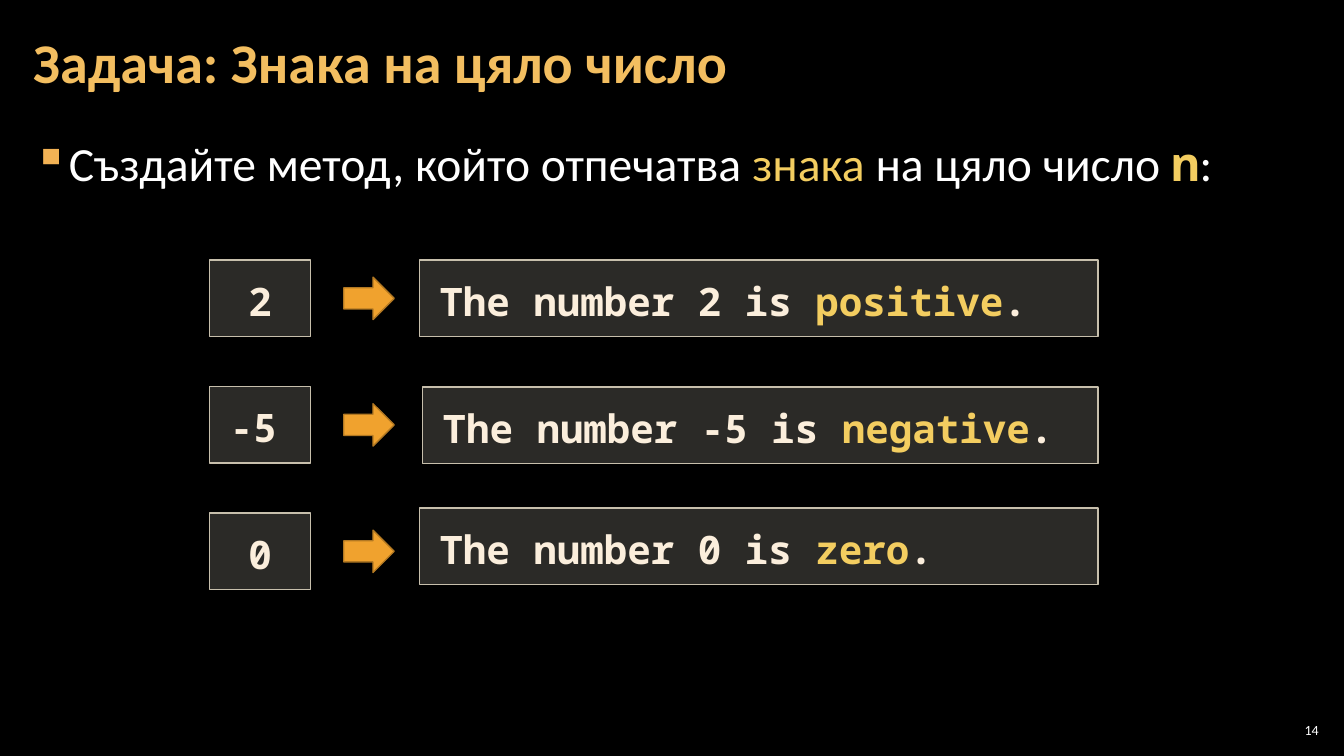
"""Build a slide that shows the sign of an integer with three examples."""
from dataclasses import dataclass

from pptx import Presentation, util as u
from pptx.dml.color import RGBColor
from pptx.enum import shapes, text
from pptx.oxml import parse_xml
from pptx.oxml.ns import nsdecls, qn


@dataclass(frozen=True)
class Theme:
    """Hold the colours, fonts and type sizes of the slide."""
    background: str = "000000"
    white: str = "FFFFFF"
    title: str = "F3BE60"
    bullet: str = "F2B254"
    accent: str = "F3CD60"
    code: str = "FBEEDC"
    box: str = "D9D5C7"
    box_line: str = "C7BFAC"
    arrow: str = "F0A22E"
    arrow_line: str = "B27822"
    body_font: str = "Calibri"
    code_font: str = "Noto Sans Mono"
    title_size: int = 40
    body_size: int = 34
    code_size: int = 28
    number_size: int = 10


THEME = Theme()
ROW_TOP, ROW_STEP = 2.58, 1.255
BOX_HEIGHT, ARROW_HEIGHT = 0.76, 0.42
RESULT_RIGHT = 10.89
LEFT, CENTER, RIGHT = text.PP_ALIGN.LEFT, text.PP_ALIGN.CENTER, text.PP_ALIGN.RIGHT


def rgb(value):
    """Return a colour object for a hex value."""
    return RGBColor.from_string(value)


def set_attributes(target, values):
    """Set each named attribute of a target."""
    for name, value in values.items():
        setattr(target, name, value)


def set_text(shape, runs, size, margins, alignment=LEFT, spacing=1.0,
             anchor=text.MSO_ANCHOR.TOP):
    """Write runs of (text, colour, font, bold) and return the paragraph."""
    horizontal, vertical = map(u.Inches, margins)
    set_attributes(shape.text_frame, {
        "word_wrap": True, "vertical_anchor": anchor,
        "margin_left": horizontal, "margin_right": horizontal,
        "margin_top": vertical, "margin_bottom": vertical})
    paragraph = shape.text_frame.paragraphs[0]
    set_attributes(paragraph, {"alignment": alignment, "line_spacing": spacing})
    for words, colour, font, bold in runs:
        run = paragraph.add_run()
        run.text = words
        set_attributes(run.font, {"name": font, "size": u.Pt(size), "bold": bold})
        run.font.color.rgb = rgb(colour)
    return paragraph


def add_text(slide, position, runs, size, margins=(0.12, 0.04), **layout):
    """Add a text box and return its paragraph."""
    shape = slide.shapes.add_textbox(*map(u.Inches, position))
    return set_text(shape, runs, size, margins, **layout)


def add_bullet(paragraph):
    """Give a paragraph a coloured square bullet and a hanging indent."""
    properties = paragraph._p.get_or_add_pPr()
    indent = u.Inches(0.33)
    properties.set("marL", str(indent))
    properties.set("indent", str(-indent))
    for element in (f'<a:buClr {nsdecls("a")}><a:srgbClr val="{THEME.bullet}"/></a:buClr>',
                    f'<a:buChar {nsdecls("a")} char="▪"/>'):
        properties.append(parse_xml(element))


def add_shape(slide, kind, position, fill, line):
    """Add a flat shape with a fill and a thin outline."""
    shape = slide.shapes.add_shape(kind, *map(u.Inches, position))
    shape.shadow.inherit = False
    shape.fill.solid()
    shape.fill.fore_color.rgb = rgb(fill)
    shape.line.color.rgb = rgb(line)
    shape.line.width = u.Pt(1)
    return shape


def add_code_box(slide, position, parts, alignment=LEFT):
    """Add a translucent box with bold code made of (text, colour) parts."""
    shape = add_shape(slide, shapes.MSO_SHAPE.RECTANGLE, position,
                      THEME.box, THEME.box_line)
    colour = shape._element.spPr.find(qn("a:solidFill"))[0]
    colour.append(parse_xml(f'<a:alpha {nsdecls("a")} val="20000"/>'))
    runs = [(words, tint, THEME.code_font, True) for words, tint in parts]
    set_text(shape, runs, THEME.code_size, (0.2, 0.12), alignment, 1.1)
    shape.text_frame.auto_size = text.MSO_AUTO_SIZE.SHAPE_TO_FIT_TEXT


def add_example(slide, row, number, sign, alignment, result_left, result_top):
    """Add a row with an input number, an arrow and the printed result."""
    top = ROW_TOP + row * ROW_STEP
    add_code_box(slide, (2.08, top, 1, BOX_HEIGHT), [(number, THEME.code)], alignment)
    arrow_top = top + (BOX_HEIGHT - ARROW_HEIGHT) / 2
    add_shape(slide, shapes.MSO_SHAPE.RIGHT_ARROW, (3.41, arrow_top, 0.5, ARROW_HEIGHT),
              THEME.arrow, THEME.arrow_line)
    add_code_box(
        slide, (result_left, result_top, RESULT_RIGHT - result_left, BOX_HEIGHT),
        [(f"The number {number} is ", THEME.code), (sign, THEME.accent), (".", THEME.code)])


def main():
    """Build and save the slide."""
    presentation = Presentation()
    set_attributes(presentation, {"slide_width": u.Inches(13.33),
                                  "slide_height": u.Inches(7.5)})
    slide = presentation.slides.add_slide(presentation.slide_layouts[6])
    slide.background.fill.solid()
    slide.background.fill.fore_color.rgb = rgb(THEME.background)

    middle = text.MSO_ANCHOR.MIDDLE
    add_text(slide, (0.21, 0.04, 10.47, 1.21),
             [("Задача: Знака на цяло число", THEME.title, THEME.body_font, True)],
             THEME.title_size, spacing=0.9, anchor=middle)
    task = add_text(slide, (0.21, 1.26, 12.91, 6.09), [
        ("Създайте метод, който отпечатва ", THEME.white, THEME.body_font, False),
        ("знака ", THEME.accent, THEME.body_font, False),
        ("на цяло число ", THEME.white, THEME.body_font, False),
        ("n", THEME.accent, THEME.code_font, True),
        (":", THEME.white, THEME.body_font, False)], THEME.body_size, spacing=1.05)
    task.space_after = u.Pt(6)
    add_bullet(task)

    examples = [("2", "positive", CENTER, 4.16, 2.58),
                ("-5", "negative", LEFT, 4.19, 3.84),
                ("0", "zero", CENTER, 4.16, 5.04)]
    for row, example in enumerate(examples):
        add_example(slide, row, *example)

    add_text(slide, (12.65, 7.14, 0.47, 0.21),
             [("14", THEME.white, THEME.body_font, False)],
             THEME.number_size, (0.04, 0.04), alignment=RIGHT, anchor=middle)
    presentation.save("out.pptx")


if __name__ == "__main__":
    main()
